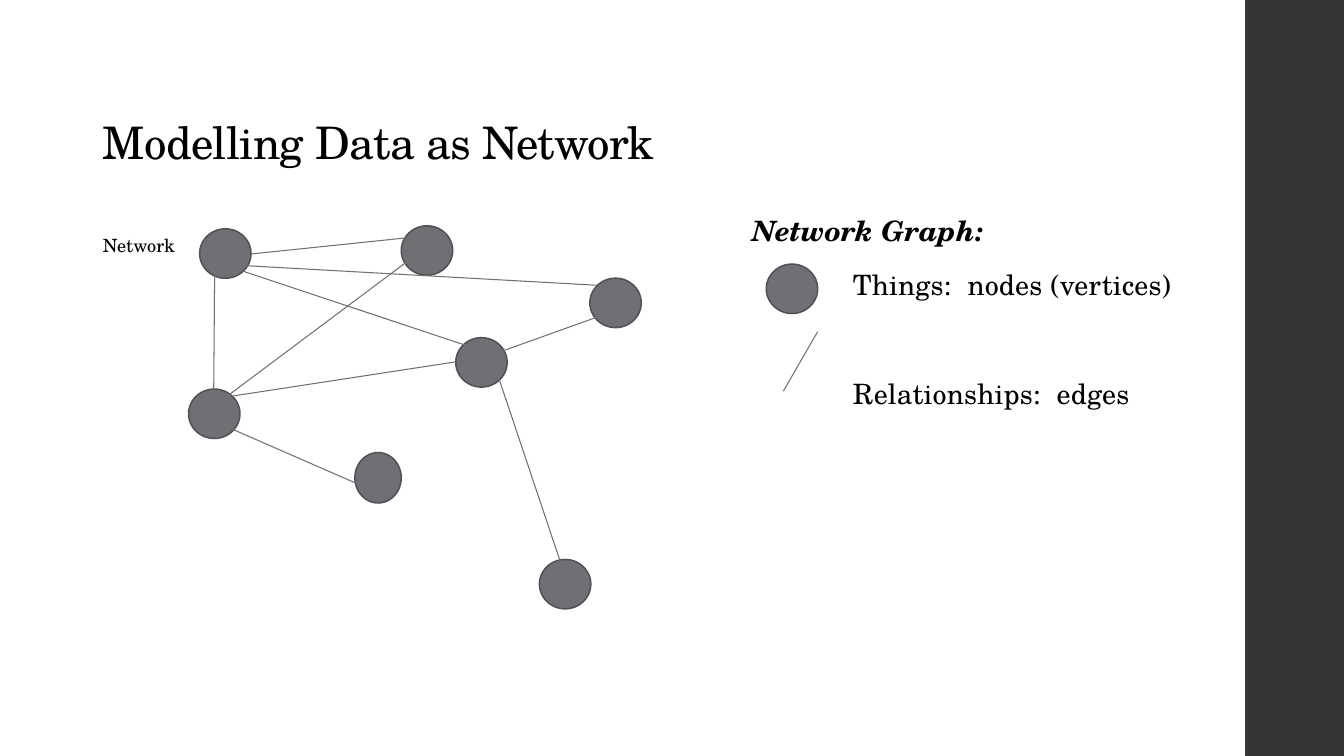
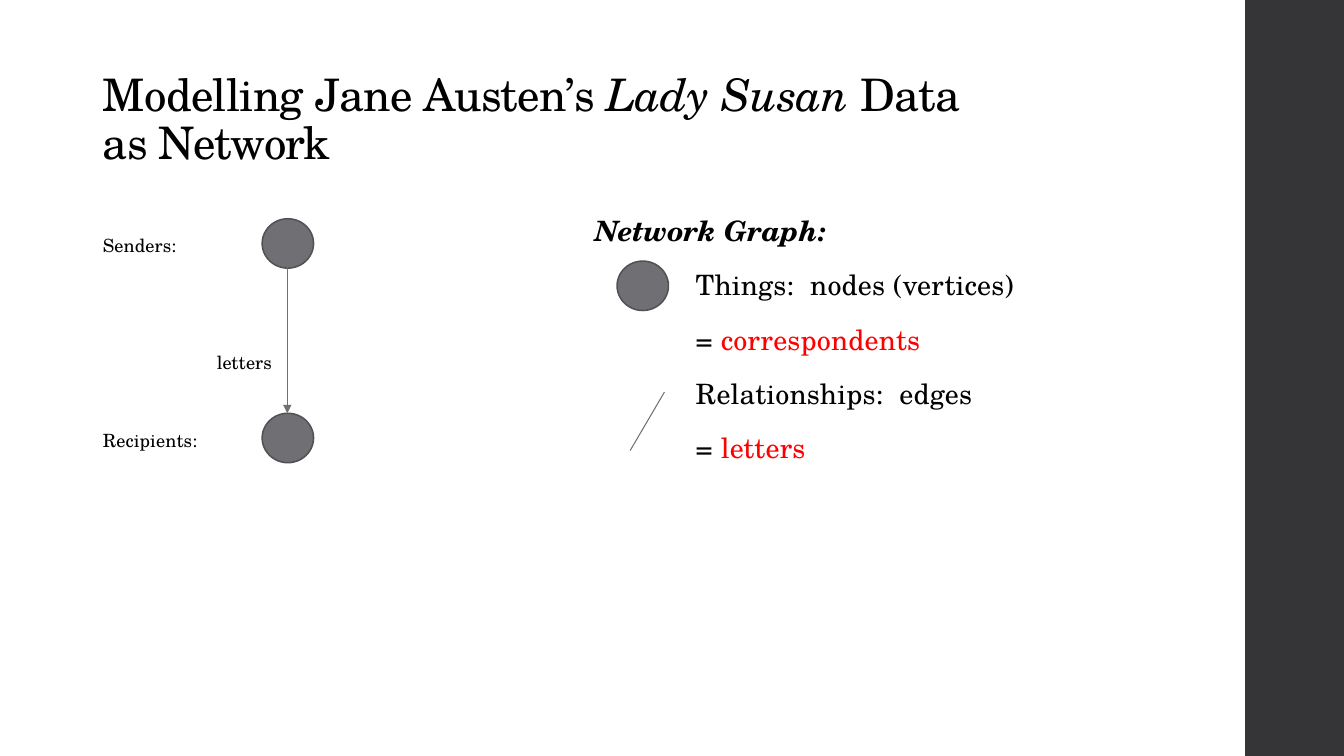
import pptx
import pptx.util
import pptx.dml.color
import pptx.enum.shapes
import pptx.enum.text
import pptx.oxml.ns
from lxml import etree

Inches, Pt = pptx.util.Inches, pptx.util.Pt
RGB = pptx.dml.color.RGBColor
qn = pptx.oxml.ns.qn
Shape = pptx.enum.shapes.MSO_SHAPE
Anchor = pptx.enum.text.MSO_ANCHOR

BLACK = RGB(0x00, 0x00, 0x00)
WHITE = RGB(0xFF, 0xFF, 0xFF)
RED = RGB(0xFF, 0x00, 0x00)
BAND = RGB(0x35, 0x35, 0x37)
GREY = RGB(0x6F, 0x6F, 0x74)
RIM = RGB(0x52, 0x52, 0x56)
FACE = "TeX Gyre Schola"

# Box: left, top, width, height
TITLE = (0.92, 0.5, 8.78, 1.23)
LEFT = (0.92, 2.24, 5.71, 4.2)
NODE = (0.51, 0.49)

HEAD = {
    "font": {"size": Pt(32), "name": FACE, "bold": False, "italic": False},
    "para": {"line_spacing": 0.9, "space_before": Pt(0)},
    "space": -50,
}
LIST = {
    "font": {"size": Pt(20), "name": FACE, "bold": False, "italic": False},
    "para": {"line_spacing": 0.95, "space_before": Pt(14), "space_after": Pt(2)},
    "space": 10,
}
LABEL = {
    "font": {"size": Pt(13), "name": FACE, "bold": False, "italic": False},
    "para": {"line_spacing": 1.14, "space_before": Pt(8), "space_after": Pt(2)},
    "space": 10,
}
STRONG = {"bold": True, "italic": True}
ITALIC = {"italic": True}


def apply(item, values):
    for name, value in values.items():
        setattr(item, name, value)


def place(shape, box):
    names = ("left", "top", "width", "height")
    apply(shape, dict(zip(names, map(Inches, box))))


def write(shape, box, style, paras, anchor=Anchor.TOP):
    """Fill a placeholder; each paragraph is (runs, format, indent in inches)."""
    place(shape, box)
    frame = shape.text_frame
    apply(frame, {
        "word_wrap": True,
        "auto_size": pptx.enum.text.MSO_AUTO_SIZE.NONE,
        "vertical_anchor": anchor,
    })
    for i, (runs, form, indent) in enumerate(paras):
        para = frame.add_paragraph() if i else frame.paragraphs[0]
        apply(para, {"alignment": pptx.enum.text.PP_ALIGN.LEFT,
                     **style["para"], **form})
        for text, look, ink in runs:
            run = para.add_run()
            run.text = text
            apply(run.font, {**style["font"], **look})
            run.font.color.rgb = ink
    for props, (_, _, indent) in zip(shape.element.iter(qn("a:pPr")), paras):
        for name, size in {"marL": indent, "indent": 0, "defTabSz": 1}.items():
            props.set(name, str(Inches(size)))
        etree.SubElement(props, qn("a:buNone"))
    for props in shape.element.iter(qn("a:rPr")):
        props.set("spc", str(style["space"]))


def plain(text, look={}, form={}, indent=0):
    return [(text, look, BLACK)], form, indent


def node(slide, box, x, y, size=NODE):
    """Draw a disc at an offset from the box corner."""
    disc = slide.shapes.add_shape(Shape.OVAL, 0, 0, 0, 0)
    place(disc, (box[0] + x, box[1] + y, *size))
    disc.shadow.inherit = False
    disc.fill.solid()
    disc.fill.fore_color.rgb = GREY
    disc.line.color.rgb = RIM
    disc.line.width = Pt(1.1)


def edge(slide, box, x1, y1, x2, y2, arrow=False):
    """Draw a line between two offsets from the box corner."""
    left, top = box[:2]
    line = slide.shapes.add_connector(
        pptx.enum.shapes.MSO_CONNECTOR.STRAIGHT,
        Inches(left + x1), Inches(top + y1),
        Inches(left + x2), Inches(top + y2))
    line.line.color.rgb = GREY
    line.line.width = Pt(0.75)
    props = line.element.spPr
    if arrow:
        etree.SubElement(props.find(qn("a:ln")), qn("a:tailEnd"), type="triangle")
    etree.SubElement(props, qn("a:effectLst"))


def legend(slide, box, lines, disc, stroke):
    top = [plain("Network Graph:", STRONG), plain("\tThings:  nodes (vertices)")]
    write(slide.placeholders[2], box, LIST, top + lines)
    node(slide, box, *disc)
    edge(slide, box, *stroke)


def graph(slide, box):
    write(slide.placeholders[1], box, LABEL, [plain("Network")])
    for x, y in ((1.06, 0.03), (3.06, 0), (0.95, 1.62),
                 (4.93, 0.52), (4.43, 3.31), (3.6, 1.11)):
        node(slide, box, x, y)
    node(slide, box, 2.6, 2.25, (0.46, 0.5))
    for ends in ((1.57, 0.28, 3.4, 0.09), (1.21, 0.35, 1.2, 1.62),
                 (1.16, 1.92, 2.9, 2.68), (1.38, 1.69, 3.6, 1.35),
                 (1.2, 1.79, 3.5, 0.07), (3.93, 1.29, 5.27, 0.81),
                 (5, 0.59, 1.23, 0.38), (1.49, 0.45, 4.04, 1.3),
                 (4.03, 1.52, 4.71, 3.55)):
        edge(slide, box, *ends)


def flow(slide, box):
    """Show a sender joined to a recipient by letters."""
    write(slide.placeholders[1], box, LABEL, [
        plain("Senders:"),
        plain("letters", form={"space_before": Pt(64)}, indent=1.13),
        plain("Recipients:", form={"space_before": Pt(36)}),
    ])
    for y in (-0.07, 1.86):
        node(slide, box, 1.68, y)
    edge(slide, box, 1.93, 0.35, 1.93, 1.86, arrow=True)


def start(deck, runs):
    slide = deck.slides.add_slide(deck.slide_layouts[3])
    write(slide.shapes.title, TITLE, HEAD, [(runs, {}, 0)], Anchor.BOTTOM)
    return slide


def band(deck, slide):
    """Draw the side band and move it to the master, behind all else."""
    side = slide.shapes.add_shape(Shape.RECTANGLE, 0, 0, 0, 0)
    place(side, (12.35, 0, 1, 7.5))
    side.shadow.inherit = False
    side.fill.solid()
    side.fill.fore_color.rgb = BAND
    side.line.fill.background()
    deck.slide_master.shapes.element.insert(2, side.element)


def model(deck):
    slide = start(deck, [("Modelling Data as Network", {}, BLACK)])
    band(deck, slide)
    lines = [plain("\tRelationships:  edges", form={"space_before": Pt(53)})]
    legend(slide, (7.36, 2.09, 4.61, 4.66), lines,
           (0.24, 0.53), (0.41, 1.79, 0.75, 1.2))
    graph(slide, LEFT)


def novel(deck):
    slide = start(deck, [("Modelling Jane Austen’s ", {}, BLACK),
                         ("Lady Susan", ITALIC, BLACK),
                         (" Data as Network", {}, BLACK)])

    def equal(word):
        return [("\t= ", {}, BLACK), (word, {}, RED)], {}, 0

    lines = [equal("correspondents"), plain("\tRelationships:  edges"),
             equal("letters")]
    legend(slide, (5.8, 2.09, 6.17, 4.66), lines,
           (0.32, 0.5), (0.45, 2.38, 0.79, 1.8))
    flow(slide, LEFT)


def main():
    deck = pptx.Presentation()
    deck.slide_width, deck.slide_height = Inches(13.33), Inches(7.5)
    fill = deck.slide_master.background.fill
    fill.solid()
    fill.fore_color.rgb = WHITE
    model(deck)
    novel(deck)
    deck.save("out.pptx")


if __name__ == "__main__":
    main()
